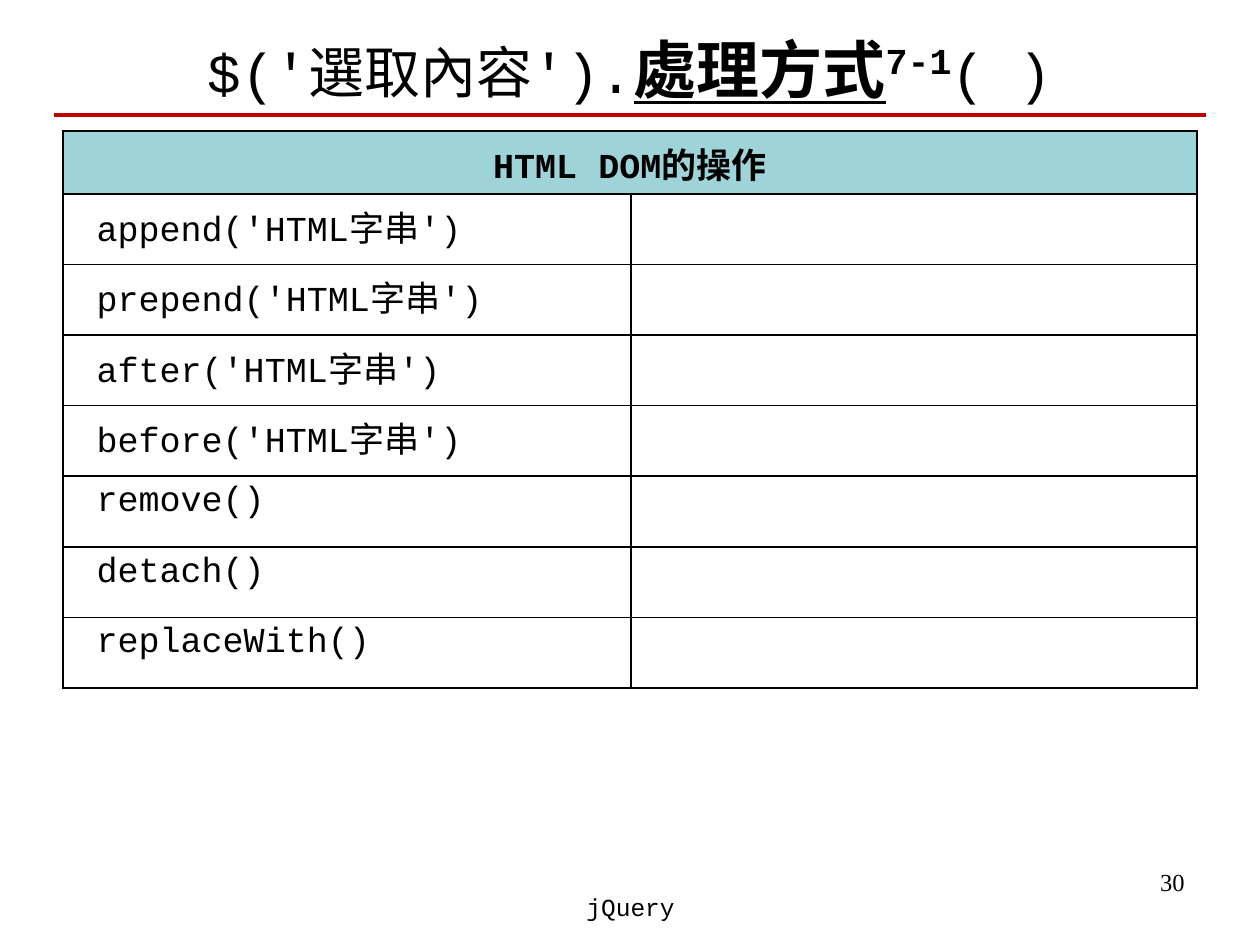
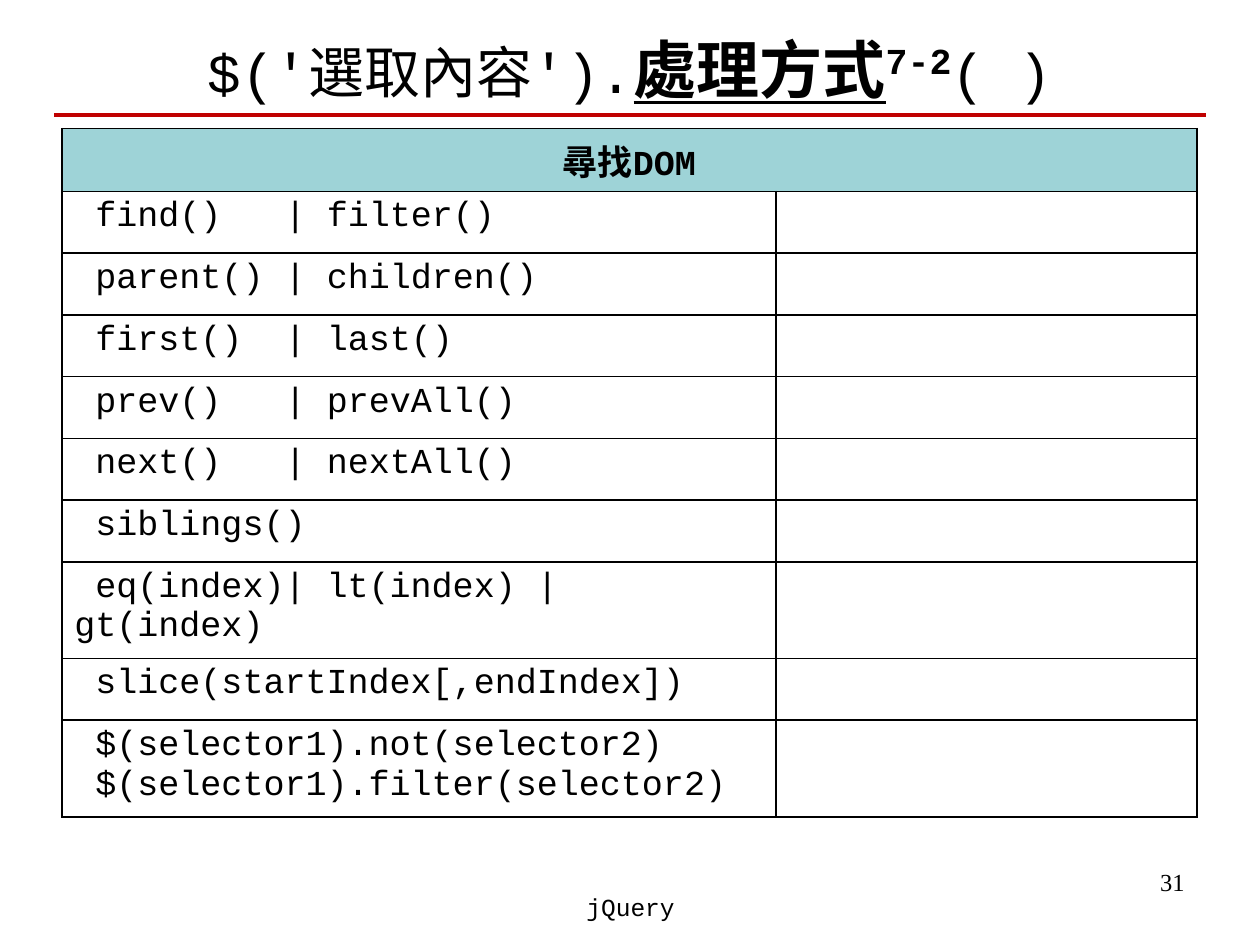
from dataclasses import dataclass

from lxml.etree import SubElement
from pptx import Presentation
from pptx.dml.color import RGBColor
from pptx.enum.shapes import MSO_CONNECTOR
from pptx.enum.text import MSO_ANCHOR, MSO_AUTO_SIZE, PP_ALIGN
from pptx.oxml.ns import qn
from pptx.slide import Slide
from pptx.table import _Cell
from pptx.util import Inches, Pt

COLORS = {"text": "000000", "rule": "C00000", "header": "9ED3D7", "border": "000000"}
CODE_FONT = "Courier New"
NUMBER_FONT = "Times New Roman"
TITLE_FORMAT = {"size": Pt(32), "name": CODE_FONT, "bold": False}
TITLE_STRONG = {"size": Pt(36), "name": CODE_FONT, "bold": True}
FOOTER_FORMAT = {"size": Pt(14), "name": CODE_FONT}
NUMBER_FORMAT = {"size": Pt(14), "name": NUMBER_FONT}
CODE_FORMAT = {"size": Pt(20), "name": CODE_FONT, "bold": False}
HEADER_FORMAT = CODE_FORMAT | {"bold": True}
PIPE_TAB = Inches(1.67)


@dataclass(frozen=True)
class MethodSlide:
    """Describe one slide that lists methods in a two-column table."""

    number: int
    section: str
    heading: str
    methods: tuple[str, ...]
    left: float
    top: float
    columns: tuple[float, float]
    row_height: float
    last_height: float


METHOD_SLIDES = (
    MethodSlide(
        30, "7-1", "HTML DOM的操作",
        (
            "append('HTML字串')", "prepend('HTML字串')", "after('HTML字串')",
            "before('HTML字串')", "remove()", "detach()", "replaceWith()",
        ),
        0.5, 1.04, (4.51, 4.49), 0.56, 0.56,
    ),
    MethodSlide(
        31, "7-2", "尋找DOM",
        (
            "find()\t| filter()", "parent()\t| children()", "first()\t| last()",
            "prev()\t| prevAll()", "next()\t| nextAll()", "siblings()",
            "eq(index)| lt(index) | gt(index)", "slice(startIndex[,endIndex])",
            "$(selector1).not(selector2)\n $(selector1).filter(selector2)",
        ),
        0.49, 1.02, (5.67, 3.34), 0.49, 0.77,
    ),
)


def add_run(paragraph, text: str, formats: dict):
    """Append a formatted run and return it."""
    run = paragraph.add_run()
    run.text = text
    for attribute, value in formats.items():
        setattr(run.font, attribute, value)
    run.font.color.rgb = RGBColor.from_string(COLORS["text"])
    return run


def fill_title(slide: Slide, section: str) -> None:
    """Place the title and write its four differently styled pieces."""
    title = slide.shapes.title
    geometry = {"left": 0.5, "top": 0.16, "width": 9, "height": 0.76}
    for attribute, value in geometry.items():
        setattr(title, attribute, Inches(value))
    frame = title.text_frame
    settings = {"auto_size": MSO_AUTO_SIZE.NONE, "word_wrap": True,
                "vertical_anchor": MSO_ANCHOR.MIDDLE}
    for attribute, value in settings.items():
        setattr(frame, attribute, value)
    paragraph = frame.paragraphs[0]
    paragraph.alignment = PP_ALIGN.CENTER
    add_run(paragraph, "$('選取內容').", TITLE_FORMAT)
    add_run(paragraph, "處理方式", TITLE_STRONG | {"underline": True})
    section_run = add_run(paragraph, section, TITLE_STRONG)
    section_run._r.get_or_add_rPr().set("baseline", "30000")
    add_run(paragraph, "( )", TITLE_FORMAT)


def add_rule(slide: Slide) -> None:
    """Draw the red rule below the title."""
    rule = slide.shapes.add_connector(
        MSO_CONNECTOR.STRAIGHT, Inches(0.43), Inches(0.91), Inches(9.57), Inches(0.91))
    rule.line.color.rgb = RGBColor.from_string(COLORS["rule"])
    rule.line.width = Pt(2.25)
    SubElement(rule._element.spPr, qn("a:effectLst"))


def add_label(slide: Slide, text: str, box: tuple[float, float, float, float],
              alignment: PP_ALIGN, formats: dict) -> None:
    """Add a single-line text box."""
    frame = slide.shapes.add_textbox(*map(Inches, box)).text_frame
    frame.word_wrap = True
    paragraph = frame.paragraphs[0]
    paragraph.alignment = alignment
    add_run(paragraph, text, formats)


def add_borders(cell: _Cell) -> None:
    """Give a cell a thin solid border on every side."""
    properties = cell._tc.get_or_add_tcPr()
    for side in ("a:lnL", "a:lnR", "a:lnT", "a:lnB"):
        border = SubElement(properties, qn(side), w=str(Pt(1)))
        fill = SubElement(border, qn("a:solidFill"))
        SubElement(fill, qn("a:srgbClr"), val=COLORS["border"])


def write_methods(cell: _Cell, methods: str) -> None:
    """Write method signatures, lining up separators at a tab stop."""
    frame = cell.text_frame
    for index, line in enumerate(f" {methods}".split("\n")):
        paragraph = frame.add_paragraph() if index else frame.paragraphs[0]
        if "\t" in line:
            tabs = SubElement(paragraph._p.get_or_add_pPr(), qn("a:tabLst"))
            SubElement(tabs, qn("a:tab"), pos=str(PIPE_TAB), algn="l")
        add_run(paragraph, line, CODE_FORMAT)


def add_method_table(slide: Slide, content: MethodSlide) -> None:
    """Add the table with a merged header and one row per method group."""
    body_heights = [content.row_height] * (len(content.methods) - 1)
    heights = [0.5, *body_heights, content.last_height]
    table = slide.shapes.add_table(
        len(heights), 2, Inches(content.left), Inches(content.top),
        Inches(sum(content.columns)), Inches(sum(heights))).table
    table.first_row = table.horz_banding = False
    for column, width in zip(table.columns, content.columns):
        column.width = Inches(width)
    for row, height in zip(table.rows, heights):
        row.height = Inches(height)
    for cell in table.iter_cells():
        add_borders(cell)
        cell.fill.background()

    header = table.cell(0, 0)
    header.merge(table.cell(0, 1))
    header.fill.solid()
    header.fill.fore_color.rgb = RGBColor.from_string(COLORS["header"])
    heading = header.text_frame.paragraphs[0]
    heading.alignment = PP_ALIGN.CENTER
    add_run(heading, content.heading, HEADER_FORMAT)
    for row_index, methods in enumerate(content.methods, start=1):
        write_methods(table.cell(row_index, 0), methods)


def main() -> None:
    """Build and save the presentation."""
    deck = Presentation()
    deck.slide_width, deck.slide_height = Inches(10), Inches(7.5)
    for content in METHOD_SLIDES:
        slide = deck.slides.add_slide(deck.slide_layouts.get_by_name("Title Only"))
        add_label(slide, str(content.number), (7.17, 6.83, 2.33, 0.52),
                  PP_ALIGN.RIGHT, NUMBER_FORMAT)
        fill_title(slide, content.section)
        add_rule(slide)
        add_label(slide, "jQuery", (3.42, 7.03, 3.17, 0.5),
                  PP_ALIGN.CENTER, FOOTER_FORMAT)
        add_method_table(slide, content)
    deck.save("out.pptx")


if __name__ == "__main__":
    main()
